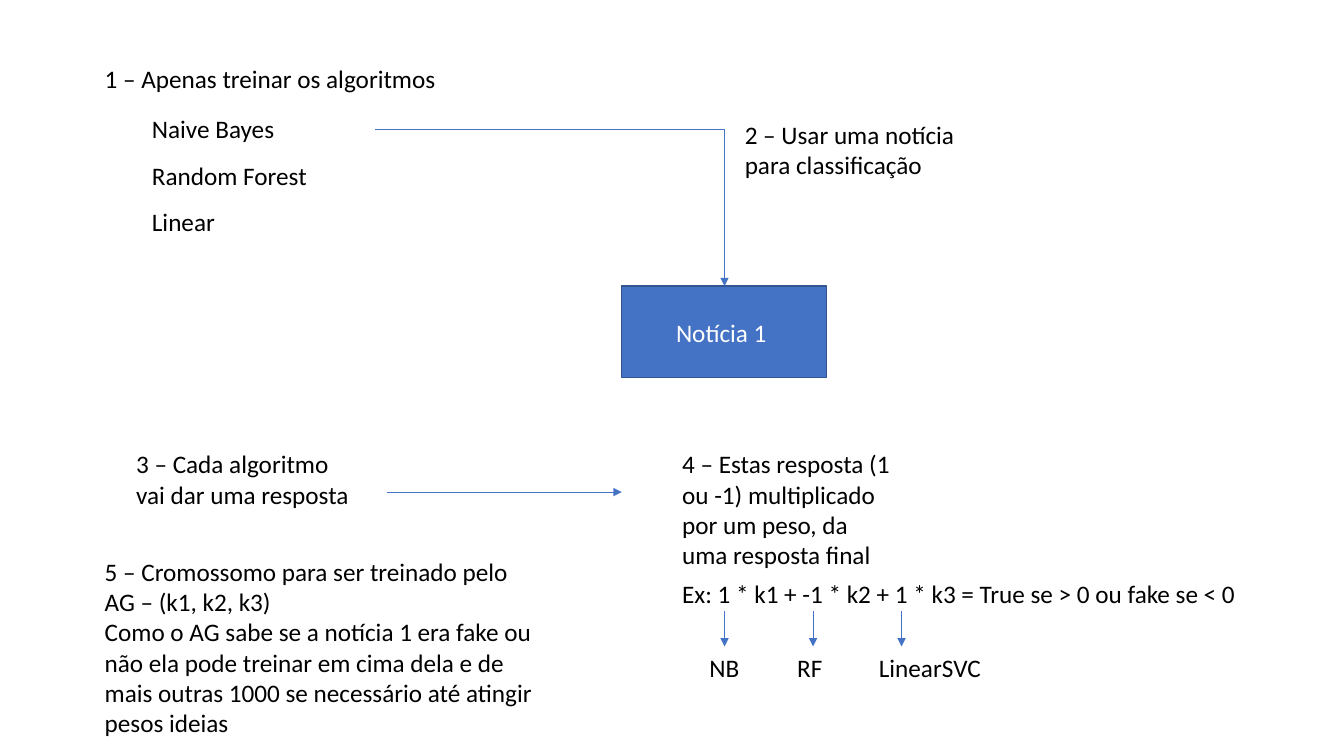
import pptx
import pptx.util
import pptx.dml.color
import pptx.enum.shapes
import pptx.enum.text
import pptx.oxml
import pptx.oxml.ns
from dataclasses import dataclass

Cm, Pt = pptx.util.Cm, pptx.util.Pt
RGB = pptx.dml.color.RGBColor.from_string
ALIGN = pptx.enum.text.PP_ALIGN
ANCHOR = pptx.enum.text.MSO_ANCHOR
LINK = pptx.enum.shapes.MSO_CONNECTOR


@dataclass
class Theme:
    font: str = "Calibri"
    size: int = 18
    text: str = "000000"
    inverse: str = "FFFFFF"
    accent: str = "4472C4"
    border: str = "325491"


theme = Theme()
prs = pptx.Presentation()
prs.slide_width, prs.slide_height = Cm(33.87), Cm(19.05)
s = prs.slides.add_slide(prs.slide_layouts[6])


def add_text(text, x, y, w, h=1.03, fill=None, line=None, color=theme.text,
             align=ALIGN.LEFT, anchor=ANCHOR.TOP):
    box = [Cm(v) for v in (x, y, w, h)]
    if fill:
        sp = s.shapes.add_shape(pptx.enum.shapes.MSO_SHAPE.RECTANGLE, *box)
        sp.shadow.inherit = False
        sp.fill.solid()
        sp.fill.fore_color.rgb = RGB(fill)
        sp.line.color.rgb = RGB(line)
        sp.line.width = Pt(1)
    else:
        sp = s.shapes.add_textbox(*box)
    tf = sp.text_frame
    tf.word_wrap = True
    tf.vertical_anchor = anchor
    tf.text = text
    for p in tf.paragraphs:
        p.alignment = align
        for r in p.runs:
            r.font.name, r.font.size = theme.font, Pt(theme.size)
            r.font.color.rgb = RGB(color)


def add_arrow(x1, y1, x2, y2, kind=LINK.STRAIGHT):
    c = s.shapes.add_connector(kind, Cm(x1), Cm(y1), Cm(x2), Cm(y2))
    c.line.color.rgb = RGB(theme.accent)
    c.line.width = Pt(0.5)
    ns = pptx.oxml.ns.nsdecls("a")
    c.line._get_or_add_ln().append(
        pptx.oxml.parse_xml(f'<a:tailEnd {ns} type="triangle"/>'))
    props = c._element.spPr
    props.append(pptx.oxml.parse_xml(f"<a:effectLst {ns}/>"))
    if kind == LINK.ELBOW:  # single corner: across, then down
        props.find(pptx.oxml.ns.qn("a:prstGeom")).set("prst", "bentConnector2")


# Step 1: algorithms to train
add_text("1 – Apenas treinar os algoritmos", 2.39, 1.47, 9.8)
for i, name in enumerate(["Naive Bayes", "Random Forest", "Linear"]):
    add_text(name, 3.58, 2.74 + 1.17 * i, 5.89)

# Step 2: news item to classify
add_text("Notícia 1 ", 15.67, 7.21, 5.16, 2.31, fill=theme.accent,
         line=theme.border, color=theme.inverse, align=ALIGN.CENTER,
         anchor=ANCHOR.MIDDLE)
add_arrow(9.45, 3.25, 18.26, 7.21, LINK.ELBOW)
add_text("2 – Usar uma notícia para classificação", 18.52, 2.87, 5.89, 1.8)

# Steps 3 and 4: answers and their weighted sum
add_text("3 – Cada algoritmo vai dar uma resposta", 3.18, 11.18, 5.89, 1.8)
add_arrow(9.75, 12.4, 15.67, 12.4)
add_text("4 – Estas resposta (1 ou -1) multiplicado por um peso, "
         "da uma resposta final", 16.94, 11.18, 5.89, 3.33)

# Example formula, each term pointing to its algorithm
add_text("Ex: 1 * k1 + -1 * k2 + 1 * k3 = True se > 0 ou fake se < 0",
         16.94, 14.45, 15.49)
terms = [("NB", 17.63, 1.8), ("RF", 19.84, 1.8), ("LinearSVC", 21.9, 3.5)]
for i, (label, x, w) in enumerate(terms):
    arrow_x = 18.26 + 2.23 * i
    add_arrow(arrow_x, 15.4, arrow_x, 16.29)
    add_text(label, x, 16.31, w)

# Step 5: chromosome of weights
add_text("5 – Cromossomo para ser treinado pelo AG – (k1, k2, k3)\n"
         "Como o AG sabe se a notícia 1 era fake ou não ela pode treinar em "
         "cima dela e de mais outras 1000 se necessário até atingir pesos "
         "ideias", 2.39, 13.89, 11.53, 4.88)

prs.save("out.pptx")
